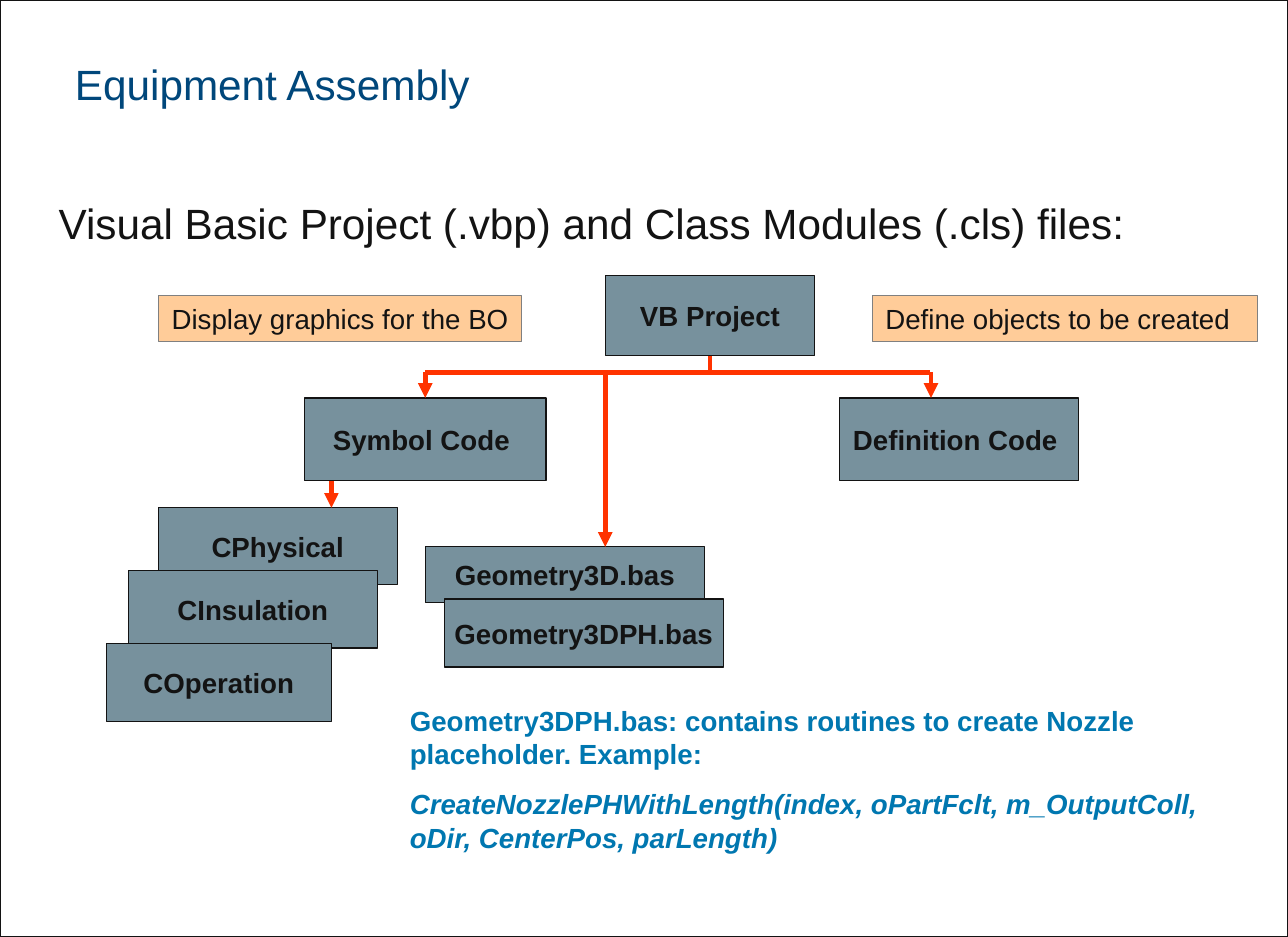
from lxml.etree import SubElement
from pptx import Presentation
from pptx.dml.color import RGBColor
from pptx.enum.shapes import MSO_CONNECTOR as Connector, MSO_SHAPE as Shape
from pptx.enum.text import MSO_ANCHOR as Anchor, PP_ALIGN as Align
from pptx.oxml.ns import qn
from pptx.util import Pt

INK, STEEL, PEACH, GREY = "131313", "77919D", "FFCC99", "808080"
RED, BLUE, NAVY, WHITE = "FF3300", "0077B0", "00477B", "FFFFFF"
BUS_Y = 229


def color(hex_code):
    """Turn a hex string into a colour."""
    return RGBColor.from_string(hex_code)


def write(holder, paragraphs, size, ink, bold=False, align=Align.LEFT,
          anchor=Anchor.TOP, wrap=True, inset=(7.9, 3.6)):
    """Fill a shape with equally styled paragraphs."""
    frame = holder.text_frame
    frame.word_wrap = wrap
    frame.vertical_anchor = anchor
    frame.margin_left = frame.margin_right = Pt(inset[0])
    frame.margin_top = frame.margin_bottom = Pt(inset[1])
    frame.text = "\n".join(paragraphs)
    for index, paragraph in enumerate(frame.paragraphs):
        paragraph.alignment = align
        paragraph.space_before = Pt(10.6 if index else 0)
        for run in paragraph.runs:
            run.font.name = "Arial"
            run.font.size = Pt(size)
            run.font.bold = bold
            run.font.color.rgb = color(ink)


def add_text(slide, bounds, paragraphs, size, ink, **style):
    """Add a text box."""
    box = slide.shapes.add_textbox(*map(Pt, bounds))
    write(box, paragraphs, size, ink, **style)
    return box


def add_panel(slide, bounds, fill, outline):
    """Add a thinly outlined rectangle."""
    panel = slide.shapes.add_shape(Shape.RECTANGLE, *map(Pt, bounds))
    panel.shadow.inherit = False
    panel.fill.solid()
    panel.fill.fore_color.rgb = color(fill)
    panel.line.color.rgb = color(outline)
    panel.line.width = Pt(0.75)
    return panel


def add_module(slide, label, bounds):
    """Add a steel box for one code module."""
    module = add_panel(slide, bounds, STEEL, INK)
    write(module, [label], 17, INK, bold=True, align=Align.CENTER,
          anchor=Anchor.MIDDLE, wrap=False)
    return module


def add_note(slide, label, bounds):
    """Add a peach remark beside the diagram."""
    note = add_panel(slide, bounds, PEACH, GREY)
    write(note, [label], 17, INK, anchor=Anchor.MIDDLE, wrap=False)


def add_link(slide, start, end, arrow=True):
    """Add a red line, with an arrowhead at its end if wanted."""
    link = slide.shapes.add_connector(
        Connector.STRAIGHT, *map(Pt, (*start, *end)))
    link.line.color.rgb = color(RED)
    link.line.width = Pt(3)
    if arrow:
        SubElement(link.line._get_or_add_ln(), qn("a:tailEnd"), type="triangle")
    SubElement(link._element.spPr, qn("a:effectLst"))
    return link


def main():
    """Build the equipment assembly slide."""
    deck = Presentation()
    deck.slide_width, deck.slide_height = Pt(792), Pt(576)
    slide = deck.slides.add_slide(deck.slide_layouts[6])

    add_panel(slide, (0, 0, 792, 576), WHITE, INK)
    add_text(slide, (46.1, 10, 480, 57), ["Equipment Assembly"], 26, NAVY,
             anchor=Anchor.BOTTOM, inset=(0, 0))
    add_text(slide, (28.1, 118, 724, 39),
             ["Visual Basic Project (.vbp) and Class Modules (.cls) files:"],
             26, INK)

    modules = {label: add_module(slide, label, bounds) for label, bounds in (
        ("Definition Code ", (516.4, 244.6, 146.9, 51)),
        ("Symbol Code ", (187.2, 244.6, 148.6, 51)),
        ("CPhysical", (97.3, 312.1, 147, 47.5)),
        ("VB Project", (372.1, 169.6, 129, 49)),
        ("Geometry3D.bas", (261.5, 336.2, 171.7, 34.4)),
        ("Geometry3DPH.bas", (273.3, 368.2, 171.5, 41.9)),
        ("CInsulation", (79, 350.8, 153, 47.6)),
        ("COperation", (65.4, 395.5, 138.3, 48)),
    )}

    trunk = add_link(slide, (436.6, 218.6), (436.6, BUS_Y), arrow=False)
    trunk.begin_connect(modules["VB Project"], 2)
    add_link(slide, (261.5, BUS_Y), (572, BUS_Y), arrow=False)
    symbol_branch = add_link(slide, (261.5, BUS_Y), (261.5, 244.6))
    symbol_branch.end_connect(modules["Symbol Code "], 0)
    for x, top, bottom in ((572.5, BUS_Y, 244.6), (203.8, 295.6, 312.1),
                           (372.2, BUS_Y, 336.2)):
        add_link(slide, (x, top), (x, bottom))

    routine = add_text(slide, (244.1, 429, 508, 131), [
        "Geometry3DPH.bas: contains routines to create Nozzle placeholder. Example:",
        "CreateNozzlePHWithLength(index, oPartFclt, m_OutputColl, oDir, CenterPos, parLength)",
    ], 17, BLUE, bold=True)
    routine.text_frame.paragraphs[1].runs[0].font.italic = True

    add_note(slide, "Display graphics for the BO", (97.6, 181.8, 223.2, 28.2))
    add_note(slide, "Define objects to be created", (536.5, 181.8, 236.8, 28.2))

    deck.save("out.pptx")


if __name__ == "__main__":
    main()
